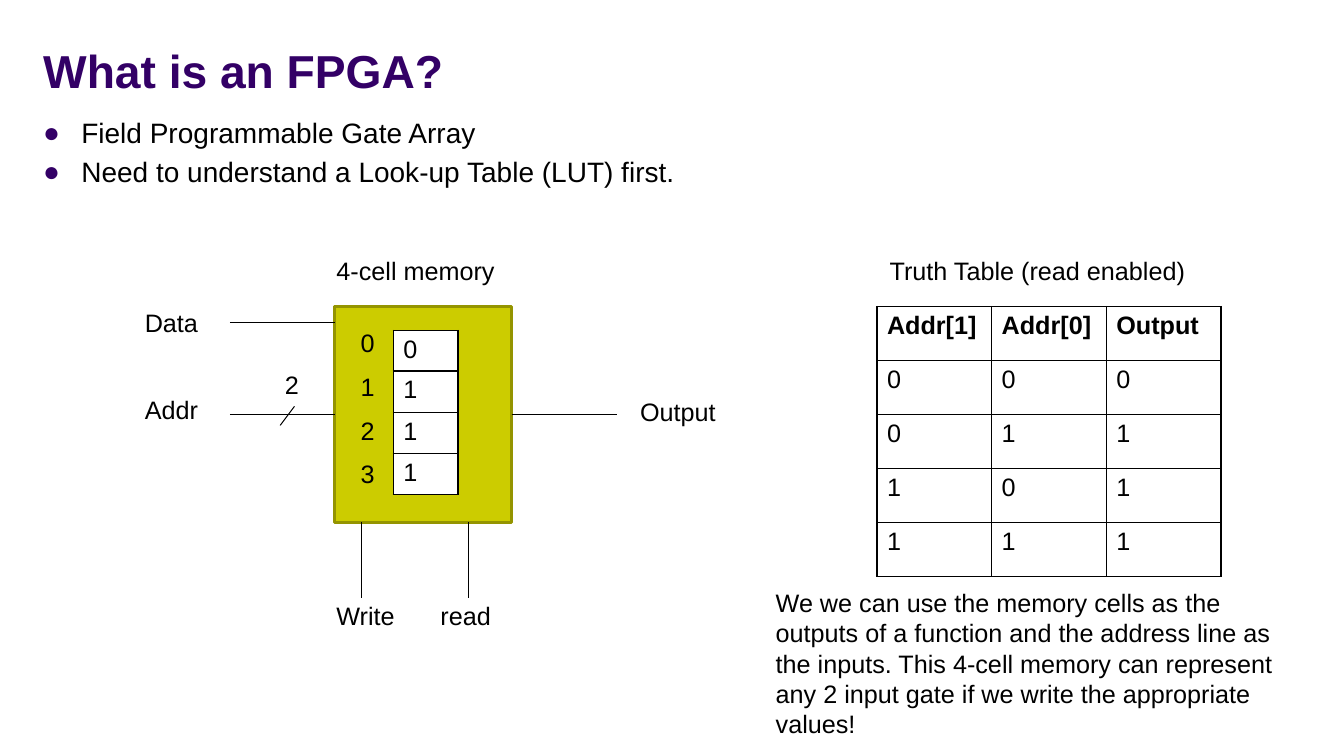
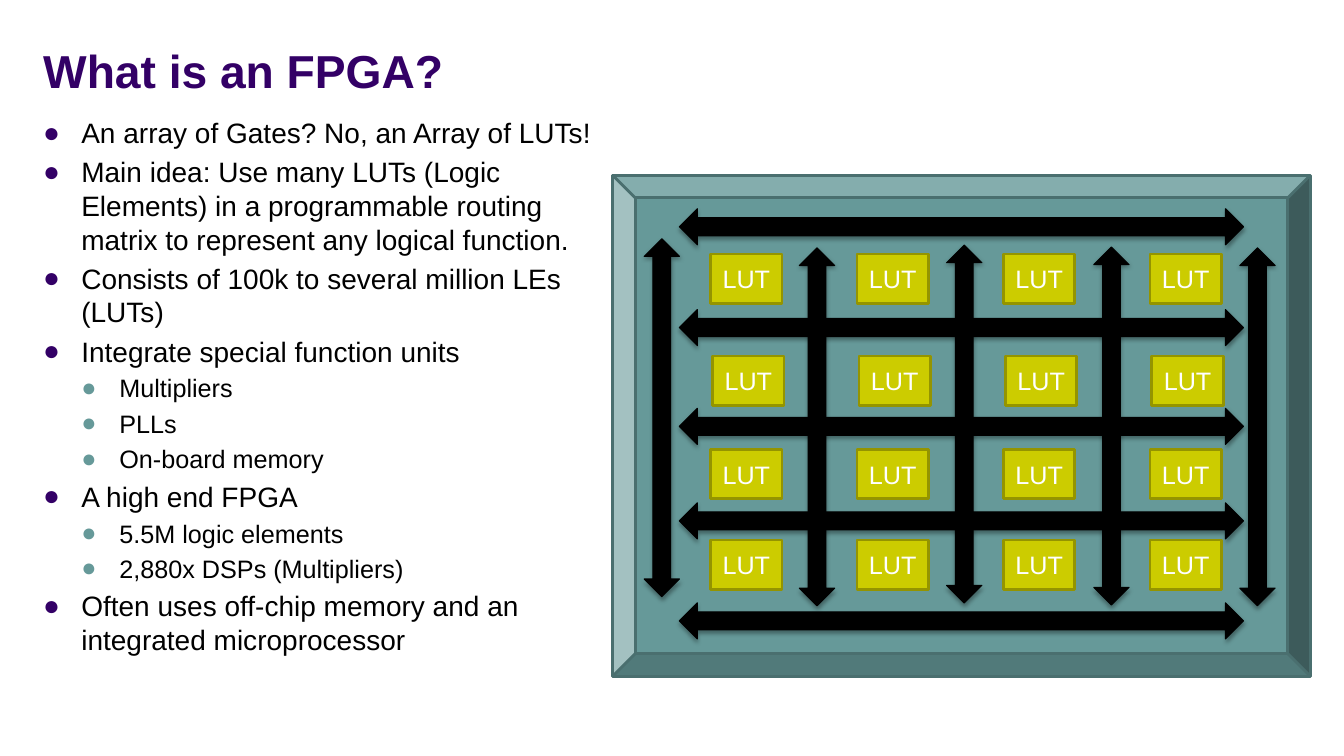
from dataclasses import dataclass

from lxml.etree import SubElement
from pptx import Presentation
from pptx.dml.color import RGBColor as Color
from pptx.enum.shapes import MSO_CONNECTOR as Connector, MSO_SHAPE as Preset
from pptx.enum.text import MSO_ANCHOR as Anchor, MSO_AUTO_SIZE as AutoSize, PP_ALIGN as Align
from pptx.oxml.ns import qn
from pptx.util import Cm, Pt


@dataclass(frozen=True)
class Theme:
    font: str = "Arial"
    title_size: float = 33
    body_size: float = 20
    text_size: float = 18
    purple: str = "330066"
    teal: str = "669999"
    teal_edge: str = "4A6F6F"
    olive: str = "CCCC00"
    olive_edge: str = "949400"
    black: str = "000000"
    white: str = "FFFFFF"
    thin: float = 0.75
    rule: float = 1
    edge: float = 2


class Sketch:
    def __init__(self, theme):
        self.theme = theme
        self.deck = Presentation()
        self.deck.slide_width = Cm(33.87)
        self.deck.slide_height = Cm(19.05)
        self.page = None

    def start_page(self, title):
        self.page = self.deck.slides.add_slide(self.deck.slide_layouts[6])
        frame = self.text_frame(0.84, 0.18, 32.18, 2.41)
        frame.vertical_anchor = Anchor.BOTTOM
        self.set_text(frame.paragraphs[0], title, self.theme.title_size, self.theme.purple, True)

    def text_frame(self, left, top, width, height):
        box = self.page.shapes.add_textbox(Cm(left), Cm(top), Cm(width), Cm(height))
        box.text_frame.word_wrap = True
        return box.text_frame

    def set_text(self, para, text, size=None, color=None, bold=False):
        para.text = text
        para.font.name = self.theme.font
        para.font.size = Pt(size or self.theme.text_size)
        para.font.bold = bold
        para.font.color.rgb = Color.from_string(color or self.theme.black)

    def label(self, text, left, top, width=2.82, height=1.02):
        frame = self.text_frame(left, top, width, height)
        frame.auto_size = AutoSize.SHAPE_TO_FIT_TEXT
        self.set_text(frame.paragraphs[0], text)

    def bullets(self, items, width):
        theme = self.theme
        styles = [(theme.body_size, theme.purple, 4), (theme.text_size, theme.teal, 3.6)]
        frame = self.text_frame(0.84, 2.79, width, 14.55)
        for index, (level, text) in enumerate(items):
            size, color, gap = styles[level]
            para = frame.add_paragraph() if index else frame.paragraphs[0]
            para.level = level
            para.space_before = Pt(gap if index else 0)
            props = para._p.get_or_add_pPr()
            props.set("marL", str(Cm(0.96 * (level + 1))))
            props.set("indent", str(Cm(-0.96)))
            bullet_color = SubElement(props, qn("a:buClr"))
            SubElement(bullet_color, qn("a:srgbClr"), val=color)
            SubElement(props, qn("a:buFont"), typeface=theme.font)
            SubElement(props, qn("a:buChar"), char="●")
            self.set_text(para, text, size)

    def block(self, preset, left, top, width, height, fill, edge, weight, text=None):
        shape = self.page.shapes.add_shape(preset, Cm(left), Cm(top), Cm(width), Cm(height))
        shape.shadow.inherit = False
        shape.fill.solid()
        shape.fill.fore_color.rgb = Color.from_string(fill)
        shape.line.color.rgb = Color.from_string(edge)
        shape.line.width = Pt(weight)
        if text:
            shape.text_frame.vertical_anchor = Anchor.MIDDLE
            para = shape.text_frame.paragraphs[0]
            para.alignment = Align.CENTER
            self.set_text(para, text, color=self.theme.white)
        return shape

    def olive_block(self, left, top, width, height, text=None):
        theme = self.theme
        return self.block(Preset.RECTANGLE, left, top, width, height,
                          theme.olive, theme.olive_edge, theme.edge, text)

    def bus_arrow(self, left, top, width, height, rotation=0):
        theme = self.theme
        arrow = self.block(Preset.LEFT_RIGHT_ARROW, left, top, width, height,
                           theme.black, theme.black, theme.thin)
        arrow.rotation = rotation
        effects = arrow.element.spPr.find(qn("a:effectLst"))
        shadow = SubElement(effects, qn("a:outerShdw"), blurRad=str(Pt(3.1)),
                            dist=str(Pt(1.8)), dir="5400000", rotWithShape="0")
        tint = SubElement(shadow, qn("a:srgbClr"), val=theme.black)
        SubElement(tint, qn("a:alpha"), val="35000")

    def wire(self, start, end):
        line = self.page.shapes.add_connector(
            Connector.STRAIGHT, *(Cm(value) for value in start + end))
        line.line.color.rgb = Color.from_string(self.theme.black)
        line.line.width = Pt(self.theme.thin)
        SubElement(line.element.spPr, qn("a:effectLst"))
        return line

    def grid(self, left, top, widths, heights, rows, header=False):
        frame = self.page.shapes.add_table(len(heights), len(widths), Cm(left), Cm(top),
                                           Cm(sum(widths)), Cm(sum(heights)))
        table = frame.table
        table.first_row = table.horz_banding = False
        for column, width in zip(table.columns, widths):
            column.width = Cm(width)
        for index, (row, height, texts) in enumerate(zip(table.rows, heights, rows)):
            row.height = Cm(height)
            for cell, text in zip(row.cells, texts):
                self.set_text(cell.text_frame.paragraphs[0], text, bold=header and index == 0)
                self.rule_cell(cell)

    def rule_cell(self, cell):
        props = cell._tc.get_or_add_tcPr()
        for side in ("lnL", "lnR", "lnT", "lnB"):
            line = SubElement(props, qn(f"a:{side}"), w=str(Pt(self.theme.rule)))
            fill = SubElement(line, qn("a:solidFill"))
            SubElement(fill, qn("a:srgbClr"), val=self.theme.black)
        cell.fill.solid()
        cell.fill.fore_color.rgb = Color.from_string(self.theme.white)


def lookup_table_page(sketch):
    sketch.start_page("What is an FPGA?")
    sketch.bullets([
        (0, "Field Programmable Gate Array"),
        (0, "Need to understand a Look-up Table (LUT) first."),
    ], 32.18)

    left, top, width, height = 8.43, 7.72, 4.47, 5.44
    right, bottom, middle = left + width, top + height, top + height / 2
    memory = sketch.olive_block(left, top, width, height)
    sketch.grid(9.91, 8.33, [1.63], [0.94, 1.04, 1.04, 1.04], ["0", "1", "1", "1"])
    for address in range(4):
        sketch.label(str(address), 8.84, 8.13 + 1.1 * address, 0.9)

    sketch.wire((5.79, 8.13), (left, 8.13))
    sketch.wire((5.79, middle), (left, middle)).end_connect(memory, 1)
    sketch.wire((right, middle), (15.54, middle)).begin_connect(memory, 3)
    sketch.wire((7.42, 10.24), (7.06, 10.72))
    for x in (9.12, 11.81):
        sketch.wire((x, bottom), (x, 15.06))

    for text, x, y in [("Data", 3.4, 7.62), ("Addr", 3.4, 9.8), ("Output", 15.88, 9.86),
                       ("Write", 8.23, 15.01), ("read", 10.85, 15.01)]:
        sketch.label(text, x, y)
    sketch.label("2", 6.93, 9.19, 0.9)
    sketch.label("4-cell memory", 8.23, 6.32, 4.88)

    sketch.label("Truth Table (read enabled)", 22.17, 6.32, 9.63)
    sketch.grid(22.1, top, [2.89] * 3, [1.36] * 5,
                [("Addr[1]", "Addr[0]", "Output"), "000", "011", "101", "111"], header=True)
    sketch.label("We we can use the memory cells as the outputs of a function and the address "
                 "line as the inputs. This 4-cell memory can represent any 2 input gate if we "
                 "write the appropriate values!", 19.3, 14.68, 13.06, 4.11)


def array_page(sketch):
    theme = sketch.theme
    sketch.start_page("What is an FPGA?")
    sketch.bullets([
        (0, "An array of Gates? No, an Array of LUTs!"),
        (0, "Main idea: Use many LUTs (Logic Elements) in a programmable routing matrix "
            "to represent any logical function."),
        (0, "Consists of 100k to several million LEs (LUTs)"),
        (0, "Integrate special function units"),
        (1, "Multipliers"),
        (1, "PLLs"),
        (1, "On-board memory"),
        (0, "A high end FPGA"),
        (1, "5.5M logic elements"),
        (1, "2,880x DSPs (Multipliers)"),
        (0, "Often uses off-chip memory and an integrated microprocessor"),
    ], 14.71)

    chip = sketch.block(Preset.BEVEL, 15.44, 4.42, 17.58, 12.62,
                        theme.teal, theme.teal_edge, theme.edge)
    chip.adjustments[0] = 0.045
    for left, top in [(17.91, 6.4), (17.96, 8.97), (17.91, 11.33), (17.91, 13.61)]:
        for column in range(4):
            sketch.olive_block(left + 3.69 * column, top, 1.8, 1.24, "LUT")
    for top in (5.26, 7.8, 10.29, 12.67, 15.19):
        sketch.bus_arrow(17.12, top, 14.22, 0.91)
    for left, top in [(12.17, 10.08), (16.08, 10.31), (19.79, 10.24),
                      (23.5, 10.29), (27.18, 10.31)]:
        sketch.bus_arrow(left, top, 9.02, 0.89, 270)


def main():
    sketch = Sketch(Theme())
    lookup_table_page(sketch)
    array_page(sketch)
    sketch.deck.save("out.pptx")


if __name__ == "__main__":
    main()
